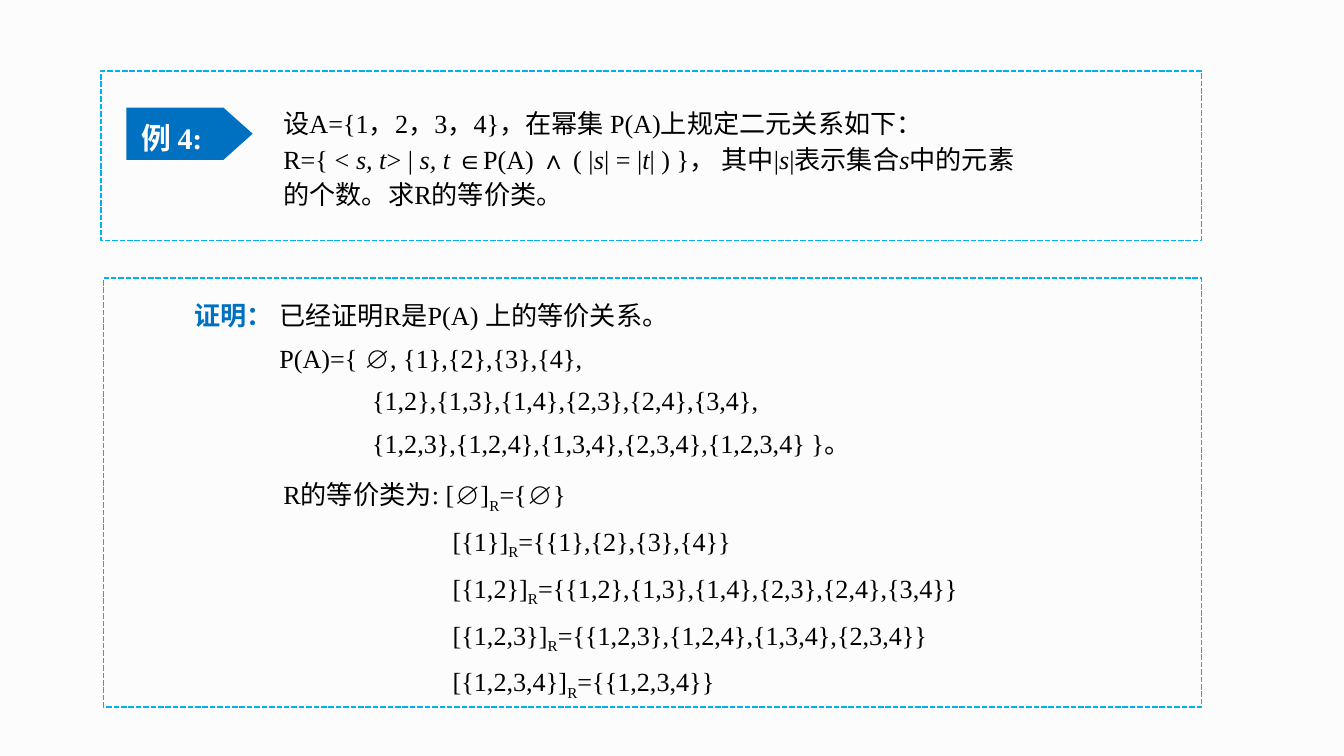
from dataclasses import dataclass

from pptx import Presentation
from pptx.dml.color import RGBColor
from pptx.enum.dml import MSO_LINE
from pptx.enum.shapes import MSO_SHAPE
from pptx.enum.text import MSO_ANCHOR, PP_ALIGN
from pptx.util import Inches, Pt


@dataclass(frozen=True)
class Theme:
    font: str = "Times New Roman"
    background: RGBColor = RGBColor(0xFC, 0xFC, 0xFC)
    frame: RGBColor = RGBColor(0x00, 0xB0, 0xF0)
    accent: RGBColor = RGBColor(0x00, 0x70, 0xC0)
    text: RGBColor = RGBColor(0, 0, 0)
    white: RGBColor = RGBColor(0xFF, 0xFF, 0xFF)
    body: Pt = Pt(14)
    label: Pt = Pt(16)


theme = Theme()


def add_run(p, text, style="", color=theme.text, size=theme.body):
    """Add one run; style is "", "bold", "italic" or "sub"."""
    r = p.add_run()
    r.text = text
    r.font.name, r.font.size = theme.font, size
    r.font.color.rgb = color
    r.font.bold = style == "bold"
    r.font.italic = style == "italic"
    if style == "sub":
        r.font._element.set("baseline", "-25000")


def add_lines(box, lines):
    """Fill a box with (indent in inches, runs) paragraphs."""
    s = slide.shapes.add_textbox(*(Inches(v) for v in box))
    tf = s.text_frame
    tf.word_wrap = True
    for i, (indent, runs) in enumerate(lines):
        p = tf.paragraphs[0] if i == 0 else tf.add_paragraph()
        p.space_before = Pt(6 if i else 0)
        pPr = p._p.get_or_add_pPr()
        pPr.set("marL", "0")
        pPr.set("indent", str(Inches(indent)))
        for run in runs:
            add_run(p, *run)
    return tf


prs = Presentation()
prs.slide_width = Inches(10)
prs.slide_height = Inches(10) * 9 // 16
slide = prs.slides.add_slide(prs.slide_layouts[6])
slide.background.fill.solid()
slide.background.fill.fore_color.rgb = theme.background

# Dashed frames around the problem and the proof
for frame in [(0.75, 0.53, 8.19, 1.26), (0.77, 2.07, 8.17, 3.19)]:
    s = slide.shapes.add_shape(MSO_SHAPE.RECTANGLE, *(Inches(v) for v in frame))
    s.shadow.inherit = False
    s.fill.background()
    s.line.color.rgb = theme.frame
    s.line.width = Pt(1)
    s.line.dash_style = MSO_LINE.SQUARE_DOT

# Problem statement
tf = add_lines((2.01, 0.72, 5.67, 0.9),
               [(0, [("设A={1，2，3，4}，在幂集 P(A)上规定二元关系如下：",)])])
p = tf.paragraphs[0]
p.line_spacing = Pt(19)
p.add_line_break()
for i, text in enumerate(["R={ < ", "s, t", "> | ", "s, t ", "∈P(A) ∧ ( |", "s", "| = |", "t",
                          "| ) }， 其中|", "s", "|表示集合", "s", "中的元素的个数。求R的等价类。"]):
    add_run(p, text, "italic" if i % 2 else "")

# Proof
add_lines((1.35, 2.18, 6.77, 1.3), [
    (0, [("证明： ", "bold", theme.accent), ("已经证明R是P(A) 上的等价关系。",)]),
    (0.63, [("P(A)={ ∅, {1},{2},{3},{4},",)]),
    (1.32, [("{1,2},{1,3},{1,4},{2,3},{2,4},{3,4},",)]),
    (1.32, [("{1,2,3},{1,2,4},{1,3,4},{2,3,4},{1,2,3,4} }。",)]),
])

# Equivalence classes
classes = [
    ("R的等价类为: [∅]", "={∅}"),
    ("[{1}]", "={{1},{2},{3},{4}}"),
    ("[{1,2}]", "={{1,2},{1,3},{1,4},{2,3},{2,4},{3,4}}"),
    ("[{1,2,3}]", "={{1,2,3},{1,2,4},{1,3,4},{2,3,4}}"),
    ("[{1,2,3,4}]", "={{1,2,3,4}}"),
]
add_lines((2.01, 3.51, 6.77, 1.62), [
    (1.26 if i else 0, [(name,), ("R", "sub"), (members,)])
    for i, (name, members) in enumerate(classes)])

# Example label
s = slide.shapes.add_shape(MSO_SHAPE.PENTAGON, Inches(0.94), Inches(0.8), Inches(0.94), Inches(0.39))
s.shadow.inherit = False
s.adjustments[0] = 0.56
s.fill.solid()
s.fill.fore_color.rgb = theme.accent
s.line.fill.background()
tf = s.text_frame
tf.word_wrap = False
tf.margin_left = Inches(0.11)
tf.vertical_anchor = MSO_ANCHOR.MIDDLE
p = tf.paragraphs[0]
p.alignment = PP_ALIGN.LEFT
p.line_spacing = 1.2
add_run(p, "例 4:", "bold", theme.white, theme.label)

prs.save("out.pptx")
